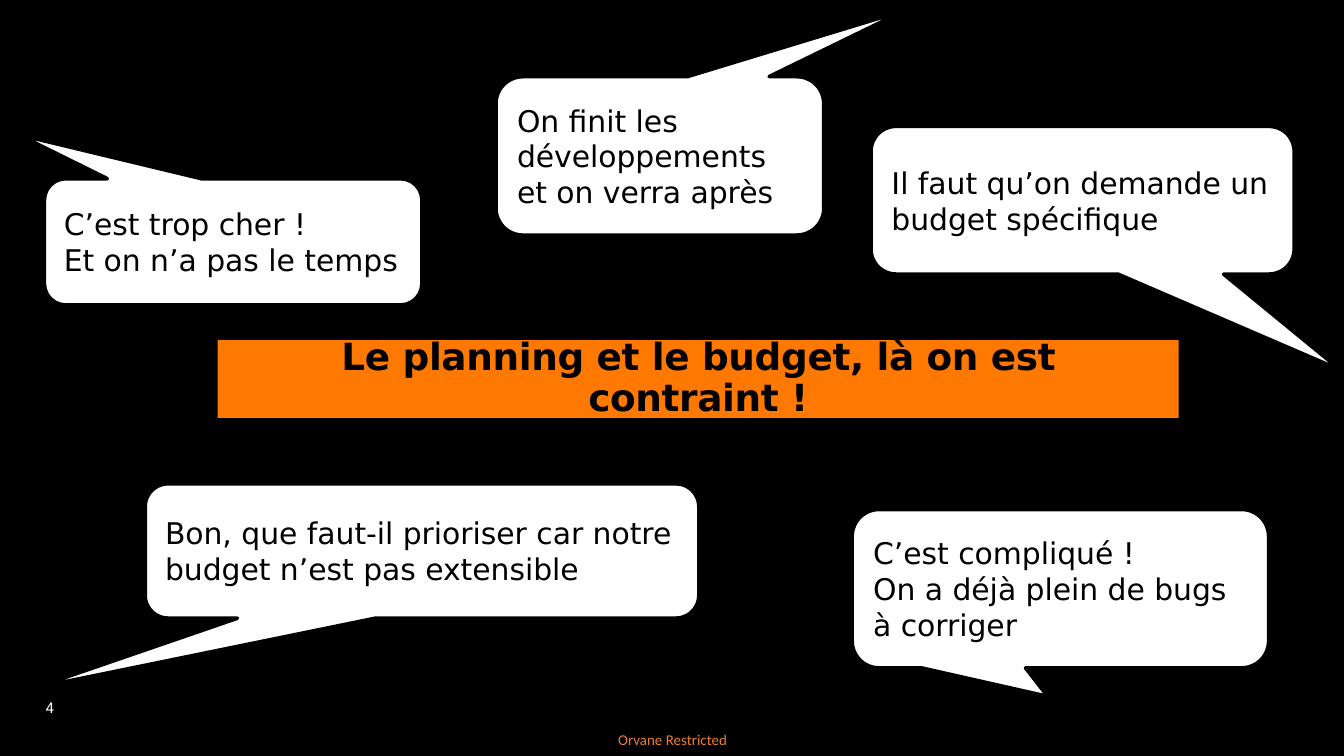
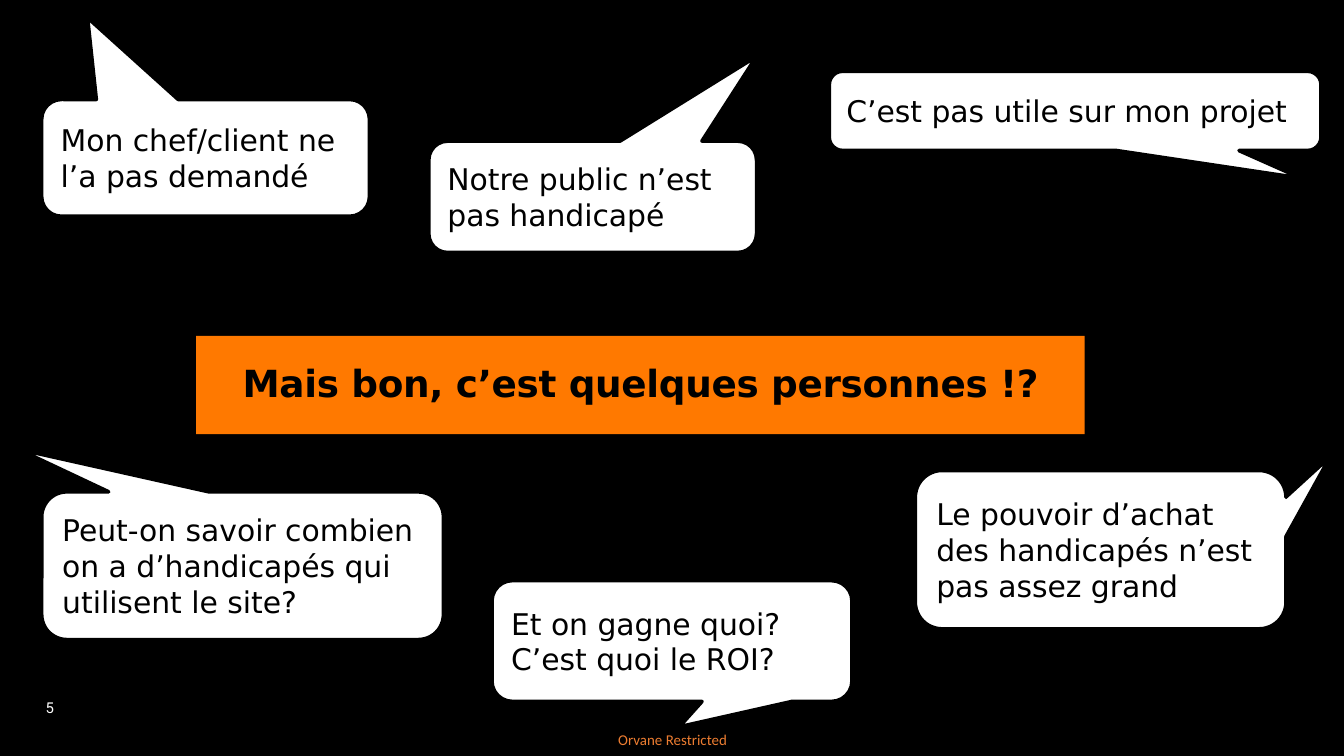
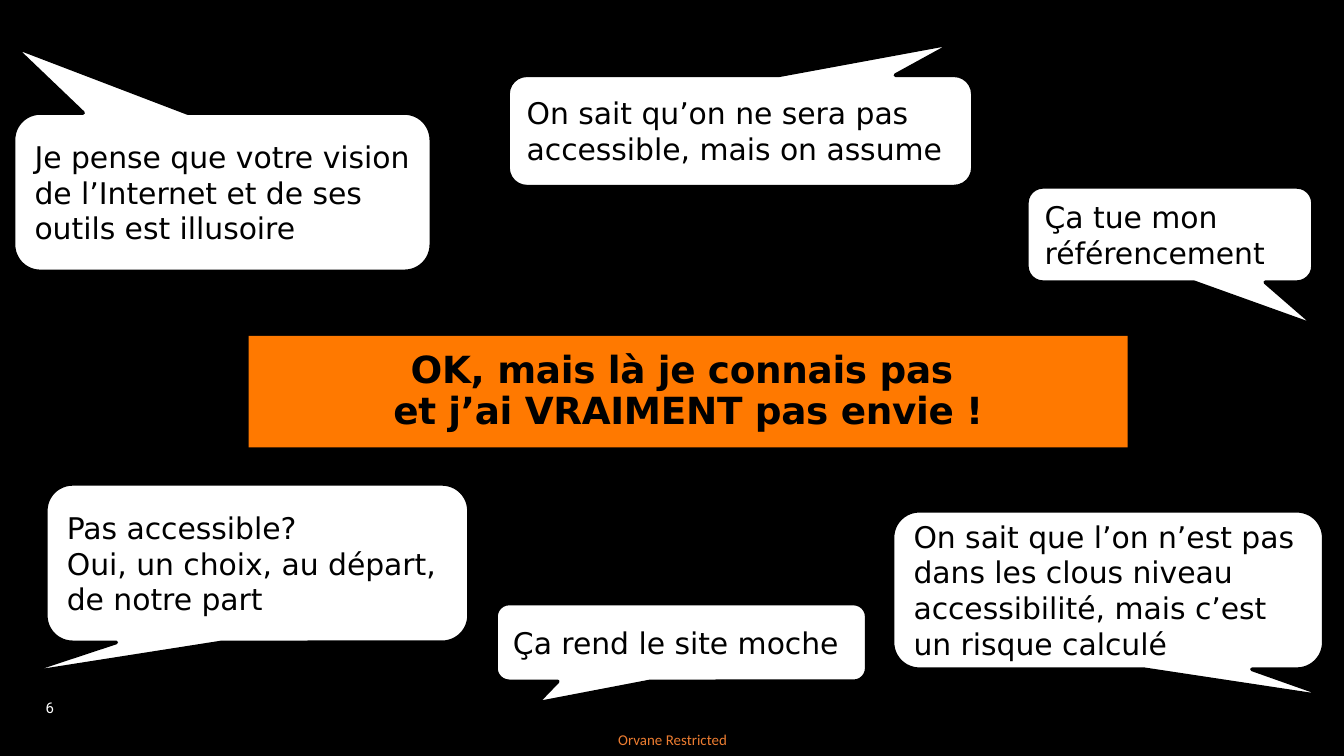
from pptx import Presentation
from pptx import util as u
from pptx.dml.color import RGBColor
from pptx.enum import shapes, text

WIDTH, HEIGHT = u.Inches(10), u.Inches(5.625)
COLUMN, ROW = WIDTH / 100, HEIGHT / 56.25

BLACK, WHITE = "000000", "FFFFFF"
BANNER, FOOTER = "FF7900", "ED7D31"
SPEECH_FONT = "DejaVu Sans"
CORNER = 0.17
FIRST_NUMBER = 4

SLIDES = [
    {
        "title": "Le planning et le budget, là on est contraint !",
        "banner": (16.2, 25.3, 71.5, 5.8),
        "inset": 0.1,
        "remarks": [
            ("C’est trop cher !\vEt on n’a pas le temps", (3.3, 13.3, 28.1, 9.4), (-0.57, -0.85)),
            ("On finit les développements et on verra après", (36.9, 5.7, 24.4, 11.8), (0.75, -0.92)),
            ("Il faut qu’on demande un budget spécifique", (64.8, 9.4, 31.5, 11), (0.61, 1.15)),
            ("Bon, que faut-il prioriser car notre budget n’est pas extensible",
             (10.8, 36, 41.2, 10), (-0.7, 1.02)),
            ("C’est compliqué !\nOn a déjà plein de bugs à corriger", (63.4, 37.9, 31, 11.8), (-0.03, 0.68)),
        ],
    },
    {
        "title": "Mais bon, c’est quelques personnes !?",
        "banner": (14.6, 25, 66.1, 7.3),
        "inset": 0,
        "remarks": [
            ("Mon chef/client ne l’a pas demandé", (3.1, 7.4, 24.4, 8.7), (-0.36, -1.2)),
            ("Notre public n’est pas handicapé", (31.9, 10.5, 24.4, 8.3), (0.5, -1.26)),
            ("C’est pas utile sur mon projet", (61.7, 5.3, 36.6, 5.9), (0.46, 0.85)),
            ("Peut-on savoir combien on a d’handicapés qui utilisent le site?",
             (3.1, 36.6, 29.9, 11), (-0.56, -0.79)),
            ("Et on gagne quoi? C’est quoi le ROI?", (36.6, 43.2, 26.8, 9), (0.02, 0.71)),
            ("Le pouvoir d’achat des handicapés n’est pas assez grand",
             (68.1, 35, 27.6, 11.8), (0.62, -0.59)),
        ],
    },
    {
        "title": "OK, mais là je connais pas \vet j’ai VRAIMENT pas envie !",
        "banner": (18.5, 25, 65.4, 8.3),
        "inset": 0,
        "remarks": [
            ("Je pense que votre vision de l’Internet et de ses outils est illusoire",
             (1, 8.4, 31.1, 11.8), (-0.5, -0.92)),
            ("On sait qu’on ne sera pas accessible, mais on assume", (37.8, 5.6, 34.6, 8.3), (0.46, -0.79)),
            ("Ça tue mon référencement", (76.4, 13.9, 21.3, 7.1), (0.51, 0.96)),
            ("Pas accessible?\nOui, un choix, au départ, de notre part",
             (3.4, 36, 31.5, 11.8), (-0.56, 0.7)),
            ("Ça rend le site moche", (36.9, 44.9, 27.6, 5.8), (-0.39, 0.78)),
            ("On sait que l’on n’est pas dans les clous niveau accessibilité, mais c’est un risque calculé",
             (66.4, 38, 32.1, 11.8), (0.52, 0.68)),
        ],
    },
]


def color(value):
    return RGBColor.from_string(value)


def grid(left, top, width, height):
    return [u.Emu(round(length)) for length in (left * COLUMN, top * ROW, width * COLUMN, height * ROW)]


def fill(target, value):
    target.fill.solid()
    target.fill.fore_color.rgb = color(value)


def write(shape, words, font, size, value, align=text.PP_ALIGN.LEFT,
          anchor=text.MSO_ANCHOR.MIDDLE, bold=False, spacing=None):
    frame = shape.text_frame
    frame.text = words
    frame.word_wrap = True
    frame.auto_size = text.MSO_AUTO_SIZE.NONE
    frame.vertical_anchor = anchor
    for paragraph in frame.paragraphs:
        paragraph.alignment = align
        paragraph.line_spacing = spacing
        paragraph.font.name = font
        paragraph.font.size = u.Pt(size)
        paragraph.font.bold = bold
        paragraph.font.color.rgb = color(value)


def set_insets(shape, sides, ends):
    frame = shape.text_frame
    frame.margin_left = frame.margin_right = u.Inches(sides)
    frame.margin_top = frame.margin_bottom = u.Inches(ends)


def add_banner(slide, words, place, inset):
    title = slide.shapes.title
    title.left, title.top, title.width, title.height = grid(*place)
    fill(title, BANNER)
    write(title, words, SPEECH_FONT, 20, BLACK, text.PP_ALIGN.CENTER, bold=True, spacing=0.9)
    set_insets(title, inset, inset / 2)
    for paragraph in title.text_frame.paragraphs:
        for run in paragraph.runs:
            run._r.get_or_add_rPr().set("spc", "-20")


def add_remark(slide, words, place, tip):
    callout = slide.shapes.add_shape(shapes.MSO_SHAPE.ROUNDED_RECTANGULAR_CALLOUT, *grid(*place))
    for index, adjustment in enumerate((*tip, CORNER)):
        callout.adjustments[index] = adjustment
    callout.shadow.inherit = False
    fill(callout, WHITE)
    callout.line.color.rgb = color(BLACK)
    callout.line.width = u.Pt(2)
    write(callout, words, SPEECH_FONT, 16, BLACK)


def add_label(slide, words, place, *style, **options):
    label = slide.shapes.add_textbox(*grid(*place))
    write(label, words, *style, **options)
    set_insets(label, 0, 0)


def add_footer(slide, number):
    add_label(slide, str(number), (3.4, 49.6, 3, 3.7), "Roboto", 8, WHITE,
              anchor=text.MSO_ANCHOR.BOTTOM, spacing=0.85)
    add_label(slide, "Orvane Restricted", (44.6, 53.8, 10.9, 2.5), "Calibri", 8, FOOTER,
              align=text.PP_ALIGN.CENTER)


def main():
    presentation = Presentation()
    presentation.slide_width, presentation.slide_height = WIDTH, HEIGHT
    fill(presentation.slide_master.background, BLACK)
    for number, content in enumerate(SLIDES, FIRST_NUMBER):
        slide = presentation.slides.add_slide(presentation.slide_layouts[5])
        add_footer(slide, number)
        add_banner(slide, content["title"], content["banner"], content["inset"])
        for remark in content["remarks"]:
            add_remark(slide, *remark)
    presentation.save("out.pptx")


if __name__ == "__main__":
    main()
